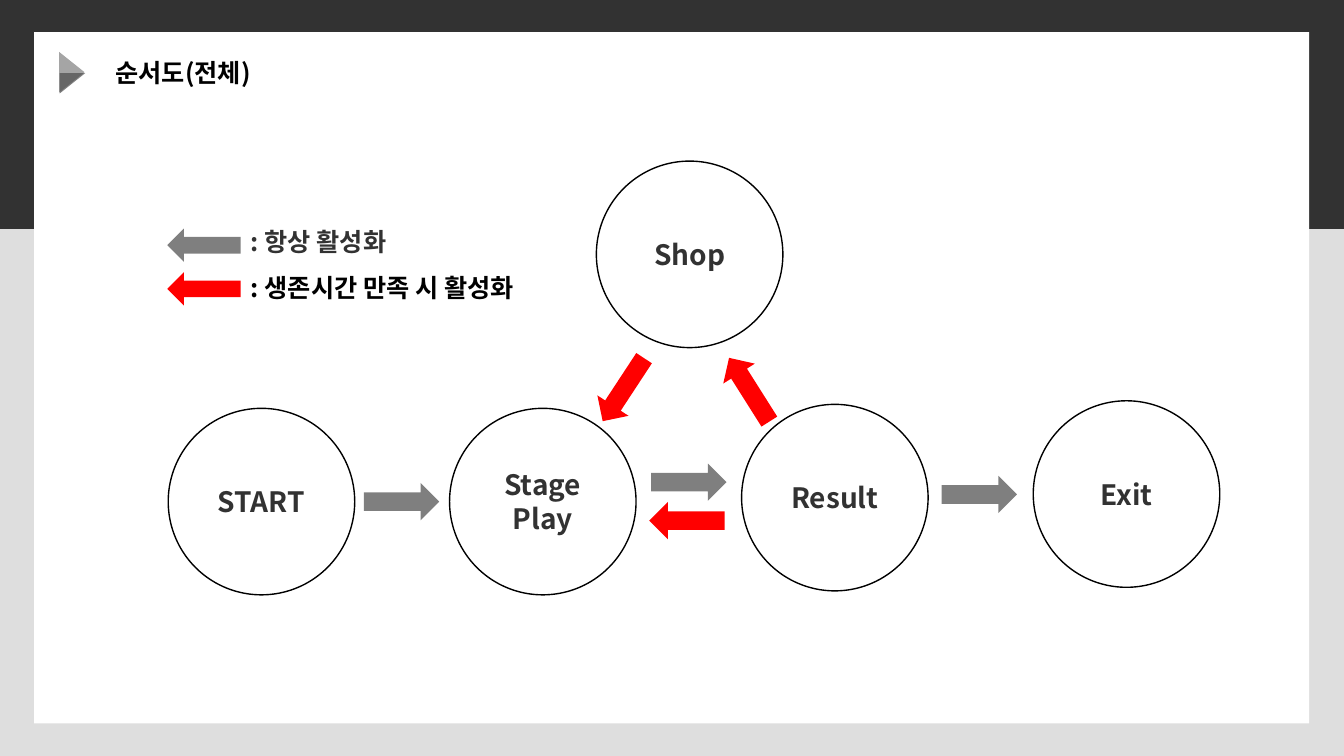
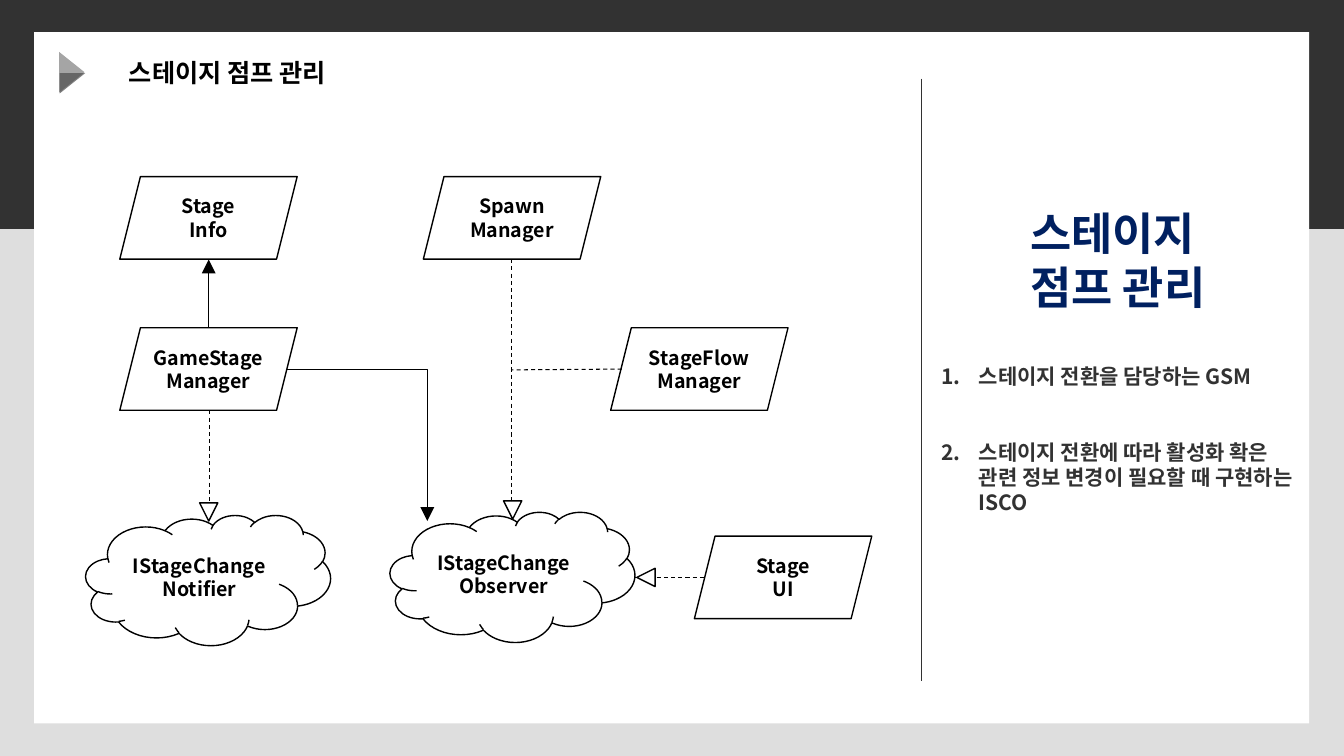
from dataclasses import dataclass

from lxml.etree import SubElement
from pptx import Presentation
from pptx.dml.color import RGBColor
from pptx.enum.dml import MSO_LINE_DASH_STYLE as Dash
from pptx.enum.shapes import MSO_AUTO_SHAPE_TYPE as ShapeType
from pptx.enum.shapes import MSO_CONNECTOR as ConnectorType
from pptx.enum.text import MSO_ANCHOR as Anchor
from pptx.enum.text import MSO_AUTO_SIZE as AutoSize
from pptx.enum.text import PP_ALIGN as Align
from pptx.oxml.ns import qn
from pptx.shapes.autoshape import Shape
from pptx.shapes.connector import Connector
from pptx.slide import Slide
from pptx.util import Cm, Pt

FONT = "Noto Sans CJK KR"
DARK, LIGHT, WHITE, BLACK = "323232", "DEDEDE", "FFFFFF", "000000"
MARKER, RED, NAVY = "4C4C4C", "FF0000", "002060"
TITLE_ONLY, TITLE_AND_BODY = 5, 1
CIRCLE_SIZE = (4.7, 4.7)
BOX_SIZE = (4.47, 2.08)
CLOUD_SIZE = (6.17, 3.28)
FLOW_ARROW, LEGEND_ARROW = (0.94, 1.9), (0.84, 1.85)
HEAD_SIZE = 0.46
LEFT, RIGHT = 90, 270  # rotations of a down arrow


@dataclass(frozen=True)
class Node:
    text: str
    left: float
    top: float


@dataclass(frozen=True)
class BlockArrow:
    center_x: float
    center_y: float
    rotation: float
    always: bool = True
    size: tuple[float, float] = FLOW_ARROW


@dataclass(frozen=True)
class Link:
    start: tuple[float, float]
    end: tuple[float, float]
    dashed: bool = False
    arrow: bool = False
    elbow: bool = False
    color: str = BLACK


@dataclass(frozen=True)
class HollowHead:
    center_x: float
    center_y: float
    rotation: float


CIRCLES = [
    Node("START", 4.24, 10.29),
    Node("Stage\nPlay", 11.33, 10.29),
    Node("Shop", 15.03, 4.06),
    Node("Result", 18.69, 10.19),
    Node("Exit", 26.04, 10.1),
]
BLOCK_ARROWS = [
    BlockArrow(10.12, 12.64, RIGHT),
    BlockArrow(17.36, 12.15, RIGHT),
    BlockArrow(24.68, 12.46, RIGHT),
    BlockArrow(17.31, 13.12, LEFT, always=False),
    BlockArrow(18.88, 9.82, 147.7, always=False),
    BlockArrow(15.71, 9.82, 33.3, always=False),
    BlockArrow(5.14, 6.18, LEFT, size=LEGEND_ARROW),
    BlockArrow(5.14, 7.28, LEFT, always=False, size=LEGEND_ARROW),
]
BOXES = [
    Node("Stage\nInfo", 3.02, 4.45),
    Node("Spawn\nManager", 10.67, 4.45),
    Node("GameStage\nManager", 3.02, 8.26),
    Node("StageFlow\nManager", 15.39, 8.26),
    Node("Stage\nUI", 17.5, 13.51),
]
CLOUDS = [
    Node("IStageChange\nNotifier", 2.16, 12.98),
    Node("IStageChange\nObserver", 9.83, 12.9),
]
LINKS = [
    Link((23.22, 1.98), (23.22, 17.17), color=DARK),
    Link((5.26, 8.26), (5.26, 6.54), arrow=True),
    Link((7.21, 9.3), (10.77, 13.13), arrow=True, elbow=True),
    Link((5.28, 10.34), (5.28, 12.85), dashed=True),
    Link((12.9, 6.53), (12.9, 13.11), dashed=True),
    Link((15.67, 9.3), (12.9, 9.32), dashed=True),
    Link((16, 14.55), (17.75, 14.55), dashed=True),
]
HOLLOW_HEADS = [
    HollowHead(5.26, 12.9, 180),
    HollowHead(12.92, 12.85, 180),
    HollowHead(16.28, 14.55, 270),
]
LIST_ITEMS = [
    "스테이지 전환을 담당하는 GSM",
    "스테이지 전환에 따라 활성화 확은 관련 정보 변경이 필요할 때 구현하는 ISCO",
]


def rgb(color: str) -> RGBColor:
    return RGBColor.from_string(color)


def set_font(paragraph, size: float, color: str) -> None:
    font = paragraph.font
    font.size, font.bold, font.name = Pt(size), True, FONT
    font.color.rgb = rgb(color)
    # Korean text takes its typeface from the East Asian slot
    SubElement(font._element, qn("a:ea"), typeface=FONT)


def write_text(shape, text: str, size: float, color: str,
               align: Align = Align.CENTER, anchor: Anchor = Anchor.MIDDLE) -> None:
    frame = shape.text_frame
    frame.text = text
    frame.word_wrap = True
    frame.auto_size = AutoSize.NONE
    frame.vertical_anchor = anchor
    for paragraph in frame.paragraphs:
        paragraph.alignment = align
        set_font(paragraph, size, color)


def place(shape, left: float, top: float, width: float, height: float) -> None:
    shape.left, shape.top = Cm(left), Cm(top)
    shape.width, shape.height = Cm(width), Cm(height)


def set_margins(shape, margin: float) -> None:
    frame = shape.text_frame
    frame.margin_left = frame.margin_right = Cm(margin)
    frame.margin_top = frame.margin_bottom = Cm(margin)


def add_shape(slide: Slide, kind: ShapeType, left: float, top: float, width: float,
              height: float, fill: str, opacity: int = 100, rotation: float = 0,
              line: str | None = None) -> Shape:
    shape = slide.shapes.add_shape(kind, Cm(left), Cm(top), Cm(width), Cm(height))
    shape.shadow.inherit = False
    shape.rotation = rotation
    shape.fill.solid()
    shape.fill.fore_color.rgb = rgb(fill)
    if opacity < 100:
        fill_color = shape._element.spPr.find(qn("a:solidFill"))[0]
        SubElement(fill_color, qn("a:alpha"), val=str(opacity * 1000))
    if line:
        shape.line.color.rgb = rgb(line)
        shape.line.width = Pt(1)
    else:
        shape.line.fill.background()
    return shape


def add_nodes(slide: Slide, nodes: list[Node], kind: ShapeType,
              size: tuple[float, float], font_size: float, color: str) -> None:
    for node in nodes:
        shape = add_shape(slide, kind, node.left, node.top, *size, WHITE, line=BLACK)
        write_text(shape, node.text, font_size, color)


def add_block_arrow(slide: Slide, arrow: BlockArrow) -> None:
    width, height = arrow.size
    color, opacity = (BLACK, 50) if arrow.always else (RED, 100)
    add_shape(slide, ShapeType.DOWN_ARROW, arrow.center_x - width / 2,
              arrow.center_y - height / 2, width, height, color, opacity, arrow.rotation)


def add_link(slide: Slide, link: Link) -> Connector:
    kind = ConnectorType.ELBOW if link.elbow else ConnectorType.STRAIGHT
    connector = slide.shapes.add_connector(kind, *map(Cm, link.start + link.end))
    connector.line.color.rgb = rgb(link.color)
    connector.line.width = Pt(0.75)
    if link.dashed:
        connector.line.dash_style = Dash.DASH
    properties = connector._element.spPr
    if link.elbow:  # a single corner
        properties.find(qn("a:prstGeom")).set("prst", "bentConnector2")
    if link.arrow:
        SubElement(properties.find(qn("a:ln")), qn("a:tailEnd"),
                   type="triangle", w="lg", len="lg")
    SubElement(properties, qn("a:effectLst"))
    return connector


def decorate_master(presentation, slide: Slide) -> None:
    """Draw the shared band, panel and title marker, then move them to the master."""
    master = presentation.slide_master
    master.background.fill.solid()
    master.background.fill.fore_color.rgb = rgb(LIGHT)
    decorations = [
        add_shape(slide, ShapeType.RECTANGLE, 0, 0, 33.87, 5.77, DARK),
        add_shape(slide, ShapeType.RECTANGLE, 0.86, 0.81, 32.13, 17.42, WHITE),
        add_shape(slide, ShapeType.ISOSCELES_TRIANGLE, 1.3, 1.5, 1.02, 0.64,
                  MARKER, 50, 90),
        add_shape(slide, ShapeType.RIGHT_TRIANGLE, 1.57, 1.78, 0.51, 0.64,
                  MARKER, 70, 90),
    ]
    for index, shape in enumerate(decorations):
        shape._element.nvSpPr.cNvPr.set("id", str(100 + index))
        master.shapes._spTree.insert(2 + index, shape._element)


def add_slide(presentation, layout: int, title: str, title_width: float) -> Slide:
    slide = presentation.slides.add_slide(presentation.slide_layouts[layout])
    place(slide.shapes.title, 2.15, 1.32, title_width, 1.02)
    write_text(slide.shapes.title, title, 18, BLACK)
    return slide


def set_bullet(paragraph, numbered: bool) -> None:
    properties = paragraph._p.get_or_add_pPr()
    indent = Cm(0.95) if numbered else 0
    properties.set("marL", str(indent))
    properties.set("indent", str(-indent))
    if numbered:
        bullet_color = SubElement(properties, qn("a:buClr"))
        SubElement(bullet_color, qn("a:srgbClr"), val=DARK)
        SubElement(properties, qn("a:buFont"), typeface=FONT)
        SubElement(properties, qn("a:buAutoNum"), type="arabicPeriod")
    else:
        SubElement(properties, qn("a:buNone"))


def fill_body(body) -> None:
    place(body, 23.47, 4.93, 9.4, 9.19)
    set_margins(body, 0.25)
    frame = body.text_frame
    frame.word_wrap = True
    frame.auto_size = AutoSize.NONE
    frame.vertical_anchor = Anchor.TOP
    headings = ["스테이지 ", "점프 관리"]
    frame.text = "\n".join(headings + LIST_ITEMS)
    for index, paragraph in enumerate(frame.paragraphs):
        numbered = index >= len(headings)
        paragraph.alignment = Align.LEFT if numbered else Align.CENTER
        paragraph.space_before = Pt(36 if numbered else 0)
        set_bullet(paragraph, numbered)
        set_font(paragraph, *((15, DARK) if numbered else (32, NAVY)))


def build_flow(slide: Slide) -> None:
    add_nodes(slide, CIRCLES, ShapeType.FLOWCHART_CONNECTOR, CIRCLE_SIZE, 20, DARK)
    for arrow in BLOCK_ARROWS:
        add_block_arrow(slide, arrow)
    # Legend labels
    for text, top, color in [(": 항상 활성화", 5.46, DARK),
                             (": 생존시간 만족 시 활성화", 6.6, BLACK)]:
        label = slide.shapes.add_textbox(Cm(6.07), Cm(top), Cm(8.03), Cm(1.14))
        set_margins(label, 0.25)
        write_text(label, text, 18, color, Align.LEFT, Anchor.TOP)


def build_stage_jump(slide: Slide) -> None:
    fill_body(slide.placeholders[1])
    add_nodes(slide, CLOUDS, ShapeType.CLOUD, CLOUD_SIZE, 14, BLACK)
    add_nodes(slide, BOXES, ShapeType.PARALLELOGRAM, BOX_SIZE, 14, BLACK)
    for link in LINKS:
        add_link(slide, link)
    # Hollow heads of the dashed lines
    for head in HOLLOW_HEADS:
        add_shape(slide, ShapeType.FLOWCHART_EXTRACT, head.center_x - HEAD_SIZE / 2,
                  head.center_y - HEAD_SIZE / 2, HEAD_SIZE, HEAD_SIZE, WHITE,
                  rotation=head.rotation, line=BLACK)


def main() -> None:
    presentation = Presentation()
    presentation.slide_width, presentation.slide_height = Cm(33.87), Cm(19.05)
    flow = add_slide(presentation, TITLE_ONLY, "순서도(전체)", 4.93)
    decorate_master(presentation, flow)
    build_flow(flow)
    build_stage_jump(add_slide(presentation, TITLE_AND_BODY, "스테이지 점프 관리", 7.16))
    presentation.save("out.pptx")


if __name__ == "__main__":
    main()
